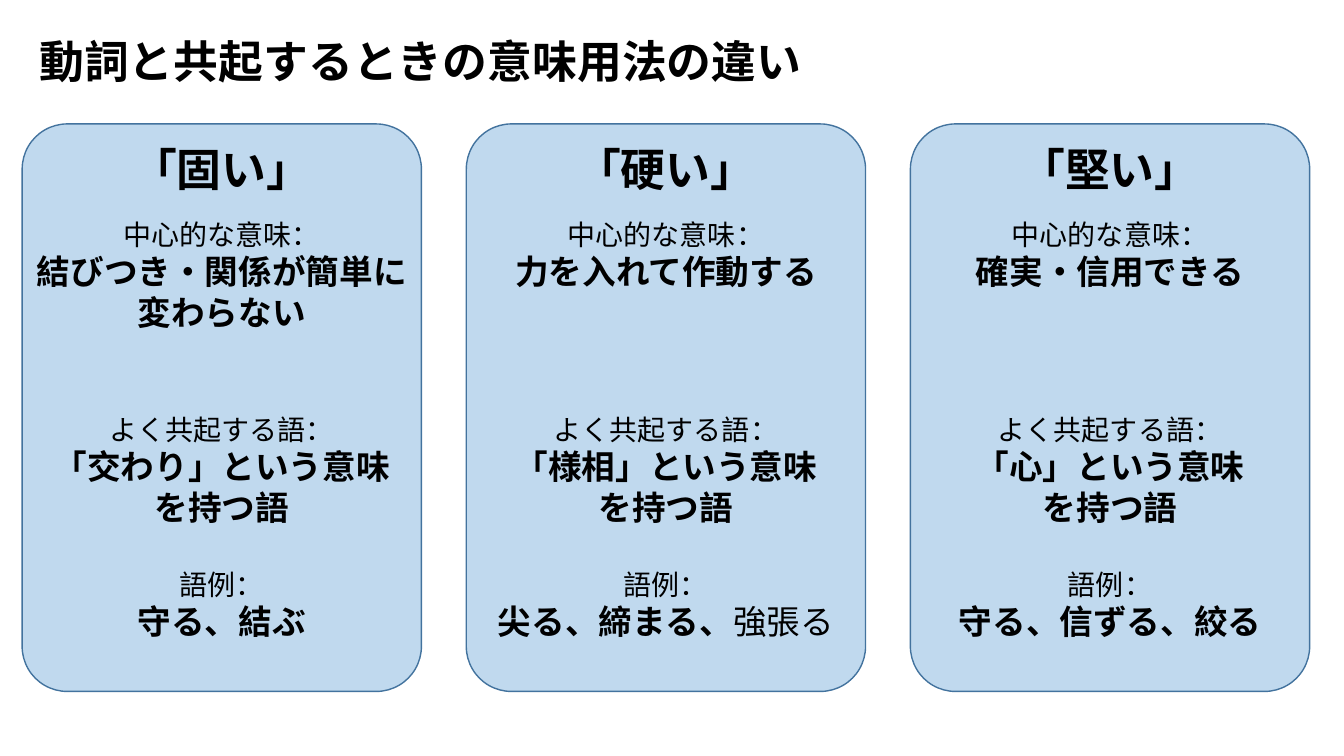
from lxml.etree import SubElement
from pptx import Presentation
from pptx.dml.color import RGBColor
from pptx.enum.shapes import MSO_SHAPE
from pptx.enum.text import MSO_ANCHOR, PP_ALIGN
from pptx.oxml.ns import qn
from pptx.util import Inches, Pt

TITLE = "動詞と共起するときの意味用法の違い"
LABELS = ["中心的な意味：", "よく共起する語：", "語例："]
CARDS = [
    ("「固い」", 2, ["結びつき・関係が簡単に変わらない"],
     ["「交わり」という意味", "を持つ語"], ["守る、結ぶ"], ""),
    ("「硬い」", 1, ["力を入れて作動する"],
     ["「様相」という意味", "を持つ語"], ["尖る、締まる、"], "強張る"),
    ("「堅い」", 1, ["確実・信用できる"],
     ["「心」という意味", "を持つ語"], ["守る、信ずる、絞る"], ""),
]
BLACK = RGBColor(0x00, 0x00, 0x00)
BLUE = RGBColor(0xBD, 0xD7, 0xEE)
EDGE = RGBColor(0x43, 0x73, 0x9E)
SANS = "Noto Sans CJK JP"
LEFT, TOP, PITCH, WIDE, HIGH = 0.22, 1.23, 4.405, 3.96, 5.63
DROP = 0.88
LINE = 1.2
HEAD = {"size": Pt(32), "bold": True}
LABEL = {"size": Pt(20), "bold": False}
BODY = {"size": Pt(24), "bold": True}
PLAIN = {"size": Pt(24), "bold": False, "name": "Calibri"}


def write(par, text, style):
    run = par.add_run()
    run.text = text
    for key, value in {"name": SANS, **style}.items():
        setattr(run.font, key, value)
    run.font.color.rgb = BLACK
    SubElement(run.font._element, qn("a:ea")).set("typeface", SANS)


def add_line(frame, text, style, gap=0):
    par = frame.paragraphs[0]
    if par.runs:
        par = frame.add_paragraph()
    par.alignment = PP_ALIGN.CENTER
    par.line_spacing = Pt(style["size"].pt * LINE)
    if gap:
        par.space_before = Pt(gap)
    write(par, text, style)
    return par


def add_card(slide, left, card):
    name, rows, *parts, extra = card
    panel = slide.shapes.add_shape(
        MSO_SHAPE.ROUNDED_RECTANGLE, Inches(left), Inches(TOP),
        Inches(WIDE), Inches(HIGH))
    panel.adjustments[0] = 0.113
    panel.shadow.inherit = False
    panel.fill.solid()
    panel.fill.fore_color.rgb = BLUE
    tint = panel._element.spPr.find(qn("a:solidFill"))[0]
    SubElement(tint, qn("a:alpha")).set("val", "95000")
    panel.line.color.rgb = EDGE
    panel.line.width = Pt(1)
    panel.text_frame.vertical_anchor = MSO_ANCHOR.TOP
    add_line(panel.text_frame, name, HEAD)

    box = slide.shapes.add_textbox(
        Inches(left), Inches(TOP + DROP), Inches(WIDE), Inches(HIGH - DROP))
    frame = box.text_frame
    frame.word_wrap = True
    row = BODY["size"].pt * LINE
    gaps = [0, (4 - rows) * row, row]
    for label, lines, gap in zip(LABELS, parts, gaps):
        add_line(frame, label, LABEL, gap)
        for text in lines:
            last = add_line(frame, text, BODY)
    if extra:
        write(last, extra, PLAIN)


def main():
    deck = Presentation()
    deck.slide_width, deck.slide_height = Inches(13.33), Inches(7.5)
    slide = deck.slides.add_slide(deck.slide_layouts[5])
    title = slide.shapes.title
    title.left, title.top = Inches(0.29), Inches(0.28)
    title.width, title.height = Inches(10), Inches(0.64)
    title.text_frame.vertical_anchor = MSO_ANCHOR.MIDDLE
    par = title.text_frame.paragraphs[0]
    par.alignment = PP_ALIGN.LEFT
    write(par, TITLE, HEAD)
    for col, card in enumerate(CARDS):
        add_card(slide, LEFT + col * PITCH, card)
    deck.save("out.pptx")


if __name__ == "__main__":
    main()
